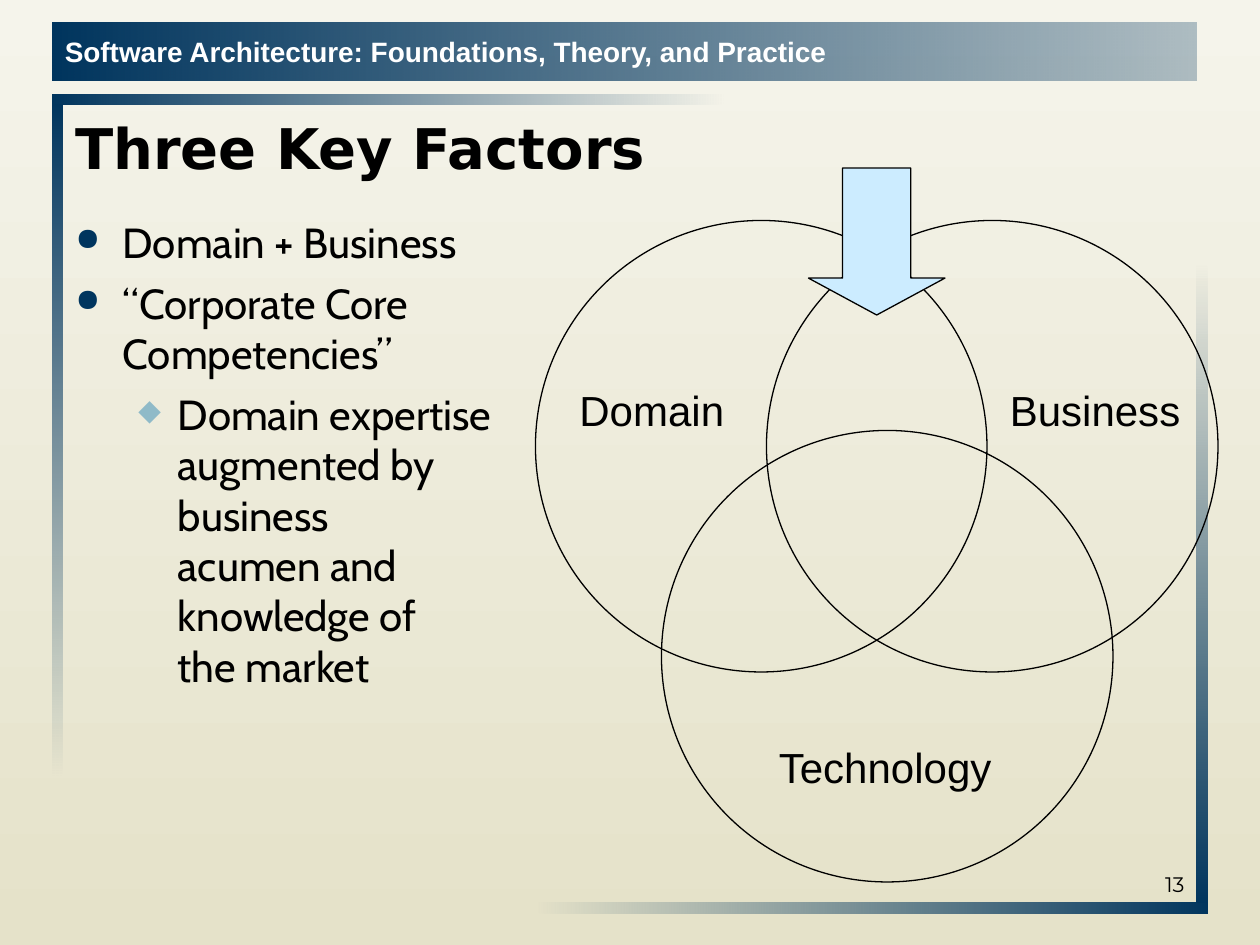
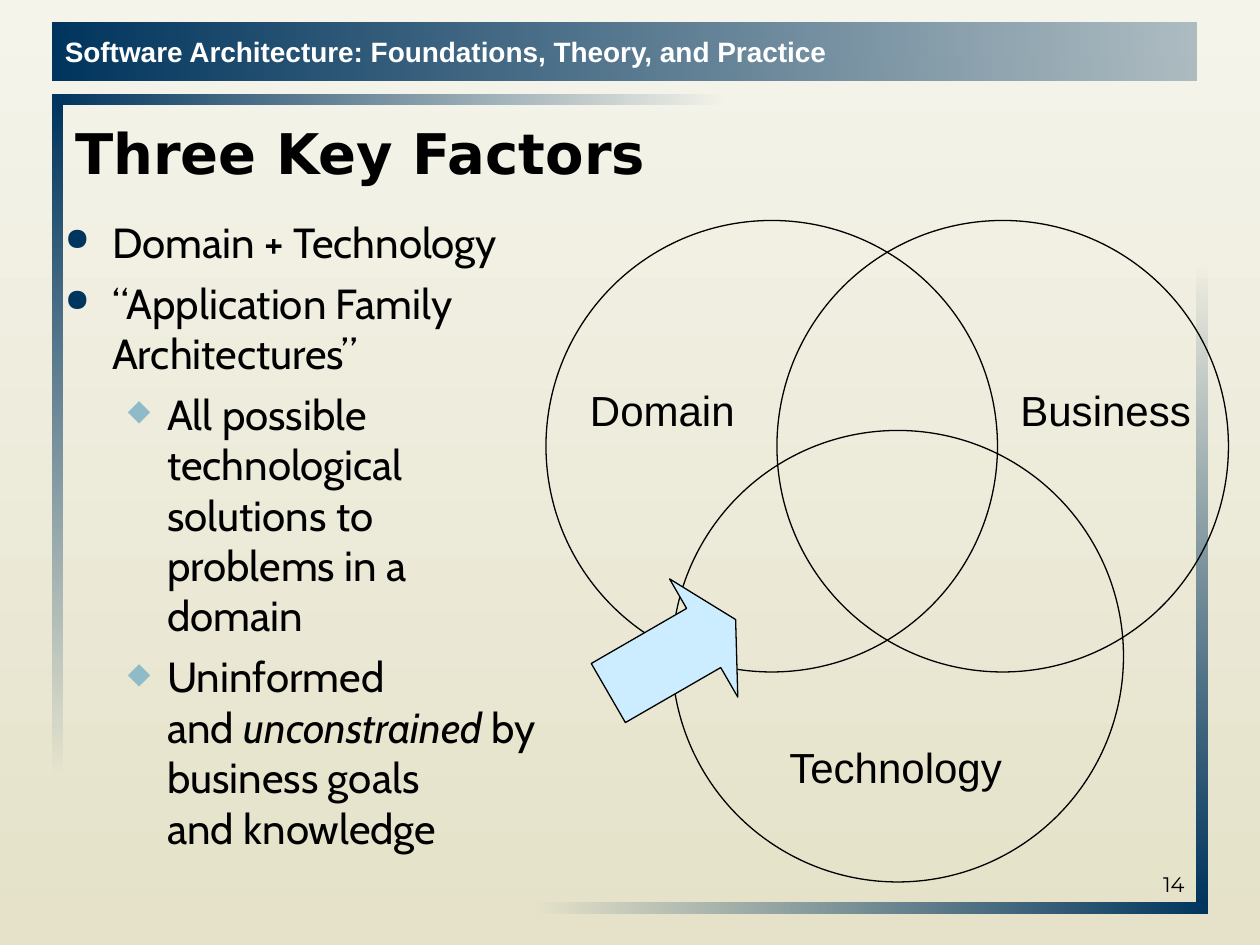
import pptx
import pptx.util
import pptx.dml.color
import pptx.enum.shapes
import pptx.enum.text
import pptx.oxml.ns
from lxml import etree

UNIT = pptx.util.Inches(1) / 12
NAVY, TEAL, SKY, BLACK, WHITE = "00355E", "8FBAC8", "CCECFF", "000000", "FFFFFF"
CREAM, SAND = "F5F4EB", "E5E2C9"
SHAPE = pptx.enum.shapes.MSO_SHAPE
ANCHOR = pptx.enum.text.MSO_ANCHOR
BULLETS = [("●", NAVY, 75, 0.375, 0.375), ("◆", TEAL, 70, 0.8125, 0.3125)]
COURSE = "Software Architecture: Foundations, Theory, and Practice"
TITLE = "Three Key Factors"


def color(code):
    return pptx.dml.color.RGBColor.from_string(code)


def place(box):
    return [round(part * UNIT) for part in box]


def fade(fill, first, last, angle=0):
    fill.gradient()
    fill.gradient_angle = -angle % 360
    for stop, code in zip(fill.gradient_stops, (first, last)):
        stop.color.rgb = color(code)


def draw(slide, kind, box, fill=None, line=BLACK):
    shape = slide.shapes.add_shape(kind, *place(box))
    shape.shadow.inherit = False
    if fill:
        shape.fill.solid()
        shape.fill.fore_color.rgb = color(fill)
    else:
        shape.fill.background()
    if line:
        shape.line.color.rgb = color(line)
        shape.line.width = pptx.util.Pt(0.75)
    else:
        shape.line.fill.background()
    return shape


def bar(slide, box, start, end, angle=0):
    shape = draw(slide, SHAPE.RECTANGLE, box, line=None)
    fade(shape.fill, NAVY, NAVY, angle)
    tints = list(shape.element.iter(pptx.oxml.ns.qn("a:srgbClr")))
    for tint, share in zip(tints, (start, end)):
        if share < 100:
            etree.SubElement(tint, pptx.oxml.ns.qn("a:alpha"), val=str(share * 1000))
    return shape


def style(para, face, size, code=BLACK, bold=False):
    para.font.name = face
    para.font.size = pptx.util.Pt(size)
    para.font.color.rgb = color(code)
    para.font.bold = bold


def write(shape, text, face, size, code=BLACK, bold=False,
          anchor=ANCHOR.MIDDLE, align=pptx.enum.text.PP_ALIGN.LEFT, wrap=True):
    frame = shape.text_frame
    frame.word_wrap = wrap
    frame.vertical_anchor = anchor
    para = frame.paragraphs[0]
    para.text = text
    para.alignment = align
    style(para, face, size, code, bold)


def bullet(para, level):
    char, code, size, margin, hang = BULLETS[level]
    props = para._p.get_or_add_pPr()
    props.set("marL", str(pptx.util.Inches(margin)))
    props.set("indent", str(-pptx.util.Inches(hang)))
    tag = pptx.oxml.ns.qn
    etree.SubElement(etree.SubElement(props, tag("a:buClr")), tag("a:srgbClr"), val=code)
    etree.SubElement(props, tag("a:buSzPct"), val=str(size * 1000))
    etree.SubElement(props, tag("a:buChar"), char=char)


def frame(slide, number, high):
    fade(slide.background.fill, CREAM, SAND, 90)
    bar(slide, (5, 9, 64, 1), 100, 0)
    band = bar(slide, (5, 2.13, 109, 5.5), 100, 29)
    write(band, COURSE, "Arial", 16, WHITE, True)
    bar(slide, (5, 10, 1, 64), 100, 0, 90)
    bar(slide, (51, 86, 64, 1), 0, 100)
    bar(slide, (114, 25, 1, 61), 0, 100, 90)
    title = slide.shapes.add_textbox(*place((6, 10, 108, high)))
    write(title, TITLE, "DejaVu Sans", 32, bold=True)
    page = slide.shapes.add_textbox(*place((86, 80, 28, 6)))
    write(page, str(number), "Montserrat", 12, anchor=ANCHOR.BOTTOM,
          align=pptx.enum.text.PP_ALIGN.RIGHT)


def body(slide, box, items):
    area = slide.shapes.add_textbox(*place(box)).text_frame
    area.word_wrap = True
    for spot, (level, *parts) in enumerate(items):
        para = area.add_paragraph() if spot else area.paragraphs[0]
        para.level = level
        bullet(para, level)
        para.space_before = pptx.util.Pt(6)
        style(para, "Cabin", 24)
        for turn, part in enumerate(parts):
            for row, line in enumerate(part.split("\n")):
                if row:
                    para.add_line_break()
                if line:
                    run = para.add_run()
                    run.text = line
                    if turn % 2:
                        run.font.italic = True


def venn(slide, left, top, arrow, turn=0):
    for x, y in ((0, 0), (22, 0), (12, 20)):
        draw(slide, SHAPE.OVAL, (left + x, top + y, 43, 43))
    for text, x, y, wide in (("Domain", 3, 15, 16.2), ("Business", 44, 15, 18.6),
                             ("Technology", 22, 49, 23)):
        label = slide.shapes.add_textbox(*place((left + x, top + y, wide, 6)))
        write(label, text, "Arial", 24, anchor=ANCHOR.TOP, wrap=False)
        label.text_frame.auto_size = pptx.enum.text.MSO_AUTO_SIZE.SHAPE_TO_FIT_TEXT
    x, y = arrow
    mark = draw(slide, SHAPE.DOWN_ARROW, (left + x, top + y, 13, 14), SKY)
    mark.adjustments[0], mark.adjustments[1] = 0.5, 0.27
    mark.rotation = turn


def main():
    deck = pptx.Presentation()
    deck.slide_width, deck.slide_height = place((120, 90))
    blank = deck.slide_layouts[6]

    slide = deck.slides.add_slide(blank)
    frame(slide, 13, 8)
    body(slide, (6, 20, 56, 66), [
        (0, "Domain + Business"),
        (0, "“Corporate Core\nCompetencies”"),
        (1, "Domain expertise\naugmented by\nbusiness\nacumen and\nknowledge of\nthe market"),
    ])
    venn(slide, 51, 21, (26, -5))

    slide = deck.slides.add_slide(blank)
    frame(slide, 14, 9)
    body(slide, (5, 20, 58, 66), [
        (0, "Domain + Technology"),
        (0, "“Application Family\nArchitectures”"),
        (1, "All possible\ntechnological\nsolutions to\nproblems in a\ndomain"),
        (1, "Uninformed\nand ", "unconstrained ", "by\nbusiness goals\nand knowledge"),
    ])
    venn(slide, 52, 21, (5.5, 34.5), 240)

    deck.save("out.pptx")


if __name__ == "__main__":
    main()
